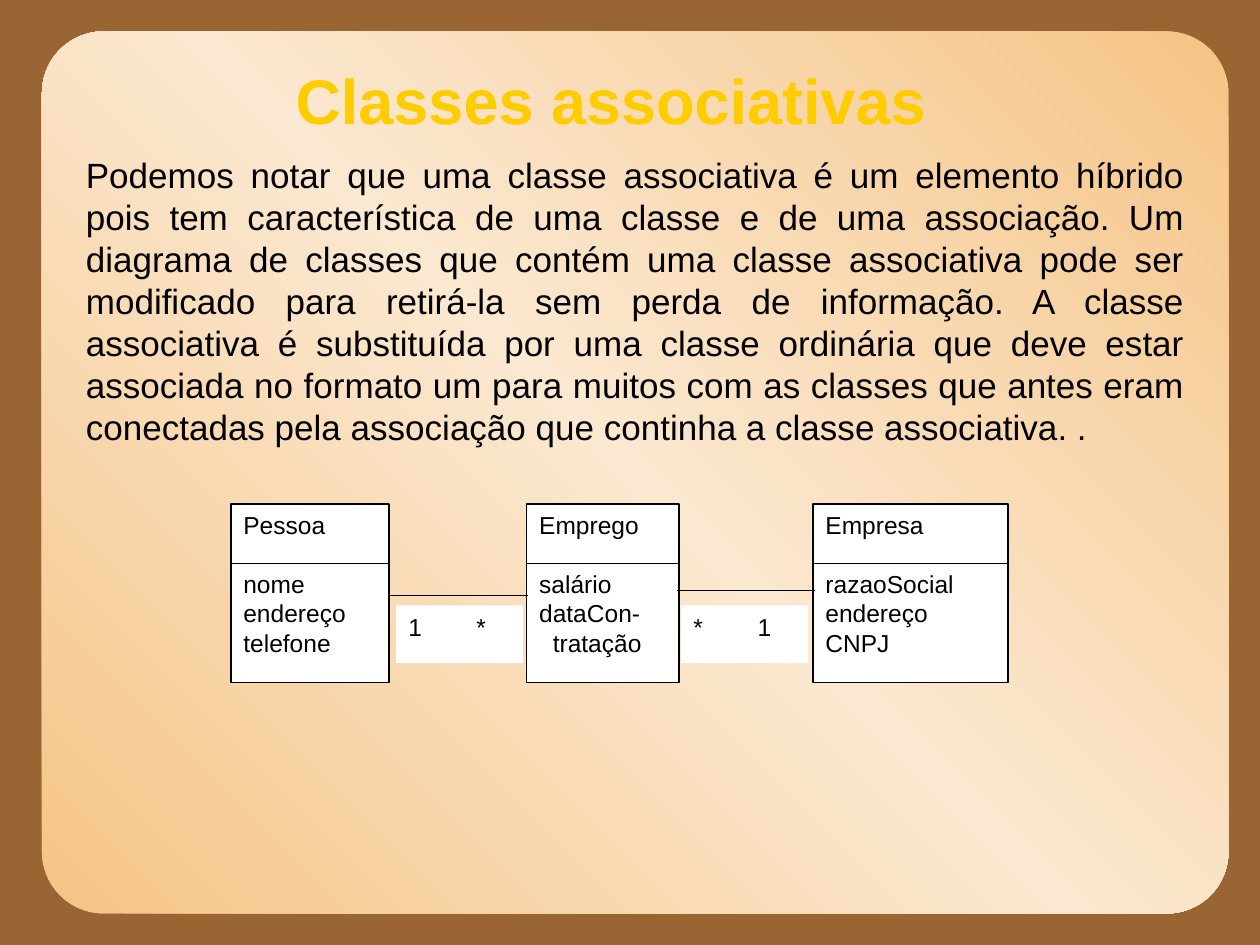
import pptx
import pptx.dml.color
import pptx.enum.shapes
import pptx.enum.text
import pptx.oxml
import pptx.oxml.ns
import pptx.util
from lxml import etree

Pt = pptx.util.Pt
RGB = pptx.dml.color.RGBColor
qn = pptx.oxml.ns.qn
SHAPE = pptx.enum.shapes.MSO_SHAPE
ALIGN = pptx.enum.text.PP_ALIGN
ANCHOR = pptx.enum.text.MSO_ANCHOR

BROWN = RGB(0x99, 0x66, 0x33)
GOLD = RGB(0xFF, 0xCC, 0x00)
BLACK = RGB(0, 0, 0)
WHITE = RGB(0xFF, 0xFF, 0xFF)
SAND = RGB(0xF5, 0xC4, 0x86)
CREAM = RGB(0xFB, 0xE8, 0xD0)

BODY = (
    "Podemos notar que uma classe associativa é um elemento híbrido pois tem "
    "característica de uma classe e de uma associação. Um diagrama de classes que "
    "contém uma classe associativa pode ser modificado para retirá-la sem perda de "
    "informação. A classe associativa é substituída por uma classe ordinária que "
    "deve estar associada no formato um para muitos com as classes que antes eram "
    "conectadas pela associação que continha a classe associativa. ."
)


def add_text(p, text, size, color=BLACK, bold=False, spacing=None):
    r = p.add_run()
    r.text = text
    r.font.name = "Arial"
    r.font.size = Pt(size)
    r.font.bold = bold
    r.font.color.rgb = color
    if spacing:
        p.line_spacing = Pt(spacing)


def add_line(x1, x2, y):
    c = slide.shapes.add_connector(
        pptx.enum.shapes.MSO_CONNECTOR.STRAIGHT, Pt(x1), Pt(y), Pt(x2), Pt(y)
    )
    c.line.color.rgb = BLACK
    c.line.width = Pt(0.75)
    etree.SubElement(c._element.spPr, qn("a:effectLst"))


prs = pptx.Presentation()
prs.slide_width, prs.slide_height = Pt(720), Pt(540)
slide = prs.slides.add_slide(prs.slide_layouts[5])
slide.background.fill.solid()
slide.background.fill.fore_color.rgb = BROWN

panel = slide.shapes.add_shape(SHAPE.ROUNDED_RECTANGLE, Pt(24), Pt(18), Pt(678), Pt(504))
panel.adjustments[0] = 0.07
panel.shadow.inherit = False
panel.line.fill.background()
stops = "".join(
    f'<a:gs pos="{pos}"><a:srgbClr val="{color}"/></a:gs>'
    for pos, color in ((0, SAND), (50000, CREAM), (100000, SAND))
)
panel._element.spPr.find(qn("a:prstGeom")).addnext(pptx.oxml.parse_xml(
    f'<a:gradFill {pptx.oxml.ns.nsdecls("a")} rotWithShape="1">'
    f'<a:gsLst>{stops}</a:gsLst><a:lin ang="18900000" scaled="0"/></a:gradFill>'
))
slide.shapes._spTree.insert(2, panel._element)

title = slide.shapes.title
title.left, title.top, title.width, title.height = Pt(54), Pt(24), Pt(612), Pt(66)
tf = title.text_frame
tf.auto_size = pptx.enum.text.MSO_AUTO_SIZE.NONE
tf.vertical_anchor = ANCHOR.MIDDLE
tf.margin_left, tf.margin_right = 0, Pt(22)
tf.paragraphs[0].alignment = ALIGN.CENTER
add_text(tf.paragraphs[0], "Classes associativas", 36, GOLD, bold=True)

body = slide.shapes.add_textbox(Pt(42), Pt(84), Pt(642), Pt(175.7))
tf = body.text_frame
tf.word_wrap = True
tf.paragraphs[0].alignment = ALIGN.JUSTIFY
add_text(tf.paragraphs[0], BODY, 20, spacing=24)

classes = [
    (132, 90.3, "Pessoa", ["nome", "endereço", "telefone"]),
    (301, 87, "Emprego", ["salário", "dataCon-", "tratação"]),
    (464.6, 111.5, "Empresa", ["razaoSocial", "endereço", "CNPJ"]),
]
for left, width, name, attributes in classes:
    sp = slide.shapes.add_shape(SHAPE.RECTANGLE, Pt(left), Pt(288), Pt(width), Pt(102))
    sp.shadow.inherit = False
    sp.fill.solid()
    sp.fill.fore_color.rgb = WHITE
    sp.line.color.rgb = BLACK
    sp.line.width = Pt(0.75)
    tf = sp.text_frame
    tf.vertical_anchor = ANCHOR.TOP
    for i, text in enumerate([name] + attributes):
        p = tf.paragraphs[0] if i == 0 else tf.add_paragraph()
        p.alignment = ALIGN.LEFT
        if i == 1:
            p.space_before = Pt(16.8)
        if text == "tratação":
            p._p.get_or_add_pPr().set("marL", str(Pt(7.8)))
        add_text(p, text, 14, spacing=16.8)
    add_line(left, left + width, 322)

for left, text, tab in ((226.2, "1\t*", 38.9), (389.2, "*\t1", 36.6)):
    sp = slide.shapes.add_shape(SHAPE.RECTANGLE, Pt(left), Pt(346), Pt(72.7), Pt(33))
    sp.shadow.inherit = False
    sp.fill.solid()
    sp.fill.fore_color.rgb = WHITE
    sp.line.fill.background()
    tf = sp.text_frame
    tf.vertical_anchor = ANCHOR.TOP
    p = tf.paragraphs[0]
    p.alignment = ALIGN.LEFT
    add_text(p, text, 14, spacing=16.8)
    tabs = etree.SubElement(p._p.get_or_add_pPr(), qn("a:tabLst"))
    etree.SubElement(tabs, qn("a:tab"), pos=str(Pt(tab)), algn="l")

add_line(222.4, 301.7, 340.3)
add_line(386.8, 465.8, 337.5)

prs.save("out.pptx")
